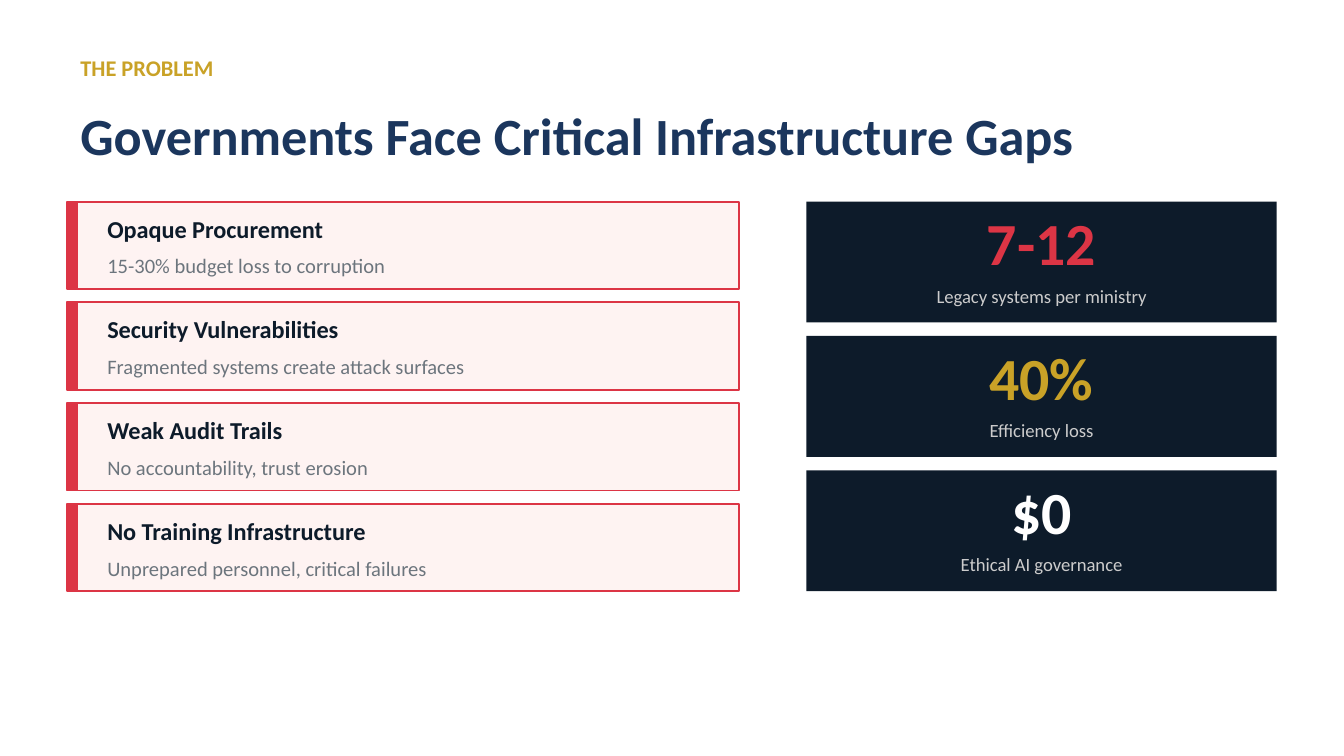
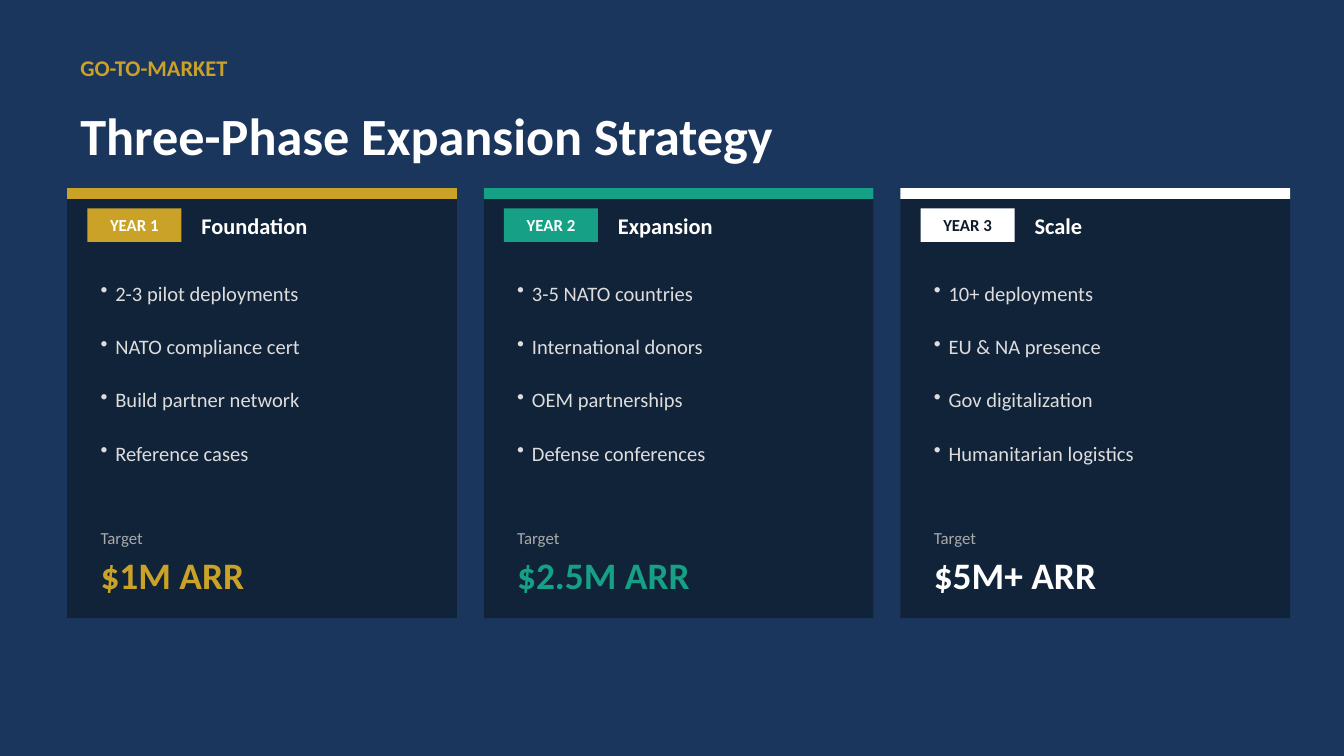
from lxml import etree
from pptx import Presentation
from pptx.dml.color import RGBColor
from pptx.enum.shapes import MSO_SHAPE
from pptx.enum.text import MSO_ANCHOR, PP_ALIGN
from pptx.oxml.ns import qn
from pptx.util import Pt

RECT = MSO_SHAPE.RECTANGLE
MIDDLE = MSO_ANCHOR.MIDDLE
LEFT, CENTER = PP_ALIGN.LEFT, PP_ALIGN.CENTER

# Content
PROBLEM = {
    "label": "THE PROBLEM",
    "title": "Governments Face Critical Infrastructure Gaps",
    "gaps": [
        ("Opaque Procurement", "15-30% budget loss to corruption"),
        ("Security Vulnerabilities", "Fragmented systems create attack surfaces"),
        ("Weak Audit Trails", "No accountability, trust erosion"),
        ("No Training Infrastructure", "Unprepared personnel, critical failures"),
    ],
    "stats": [
        ("7-12", "Legacy systems per ministry", "red"),
        ("40%", "Efficiency loss", "gold"),
        ("$0", "Ethical AI governance", "white"),
    ],
}
MARKET = {
    "label": "GO-TO-MARKET",
    "title": "Three-Phase Expansion Strategy",
    "phases": [
        {"year": "YEAR 1", "name": "Foundation", "target": "$1M ARR",
         "accent": "gold", "year_color": "white",
         "steps": ["2-3 pilot deployments", "NATO compliance cert",
                   "Build partner network", "Reference cases"]},
        {"year": "YEAR 2", "name": "Expansion", "target": "$2.5M ARR",
         "accent": "green", "year_color": "white",
         "steps": ["3-5 NATO countries", "International donors",
                   "OEM partnerships", "Defense conferences"]},
        {"year": "YEAR 3", "name": "Scale", "target": "$5M+ ARR",
         "accent": "white", "year_color": "ink",
         "steps": ["10+ deployments", "EU & NA presence",
                   "Gov digitalization", "Humanitarian logistics"]},
    ],
}

# Theme: colours, and type styles as (size, bold, colour)
THEME = {
    "font": "Calibri",
    "colors": {
        "white": "FFFFFF", "navy": "1B365D", "ink": "0D1B2A", "gold": "C9A227",
        "red": "DC3545", "blush": "FEF3F2", "green": "16A085", "slate": "6C757D",
        "silver": "CCCCCC", "pale": "DDDDDD", "muted": "AAAAAA",
    },
    "type": {
        "label": (12, True, "gold"),
        "title": (28, True, "navy"),
        "gap": (13, True, "ink"),
        "effect": (11, False, "slate"),
        "figure": (32, True, "white"),
        "caption": (10, False, "silver"),
        "year": (9, True, "white"),
        "phase": (12, True, "white"),
        "step": (11, False, "pale"),
        "target_label": (9, False, "muted"),
        "target": (20, True, "white"),
    },
}

# 200 px to the inch
PX = 4572
SLIDE_W, SLIDE_H = 2000, 1125
MARGIN = 100
BAND = 16
BULLET_INDENT = 22
STEP_GAP = 15.4


def color(name):
    return RGBColor.from_string(THEME["colors"][name])


def emu(*lengths):
    return [length * PX for length in lengths]


def add_block(slide, box, fill, line=None, alpha=None):
    block = slide.shapes.add_shape(RECT, *emu(*box))
    block.shadow.inherit = False
    block.fill.solid()
    block.fill.fore_color.rgb = color(fill)
    if alpha:
        tone = block.fill._xPr.find(qn("a:solidFill"))[0]
        etree.SubElement(tone, qn("a:alpha"), val=str(alpha * 1000))
    if line:
        block.line.color.rgb = color(line)
        block.line.width = Pt(1)
    else:
        block.line.fill.background()
    return block


def add_bullet(paragraph):
    props = paragraph._p.get_or_add_pPr()
    props.set("marL", str(BULLET_INDENT * PX))
    props.set("indent", str(-BULLET_INDENT * PX))
    etree.SubElement(props, qn("a:buChar"), char="•")


def write(holder, lines, style, tint=None, align=LEFT, bullets=False):
    frame = holder.text_frame
    frame.word_wrap = True
    frame.vertical_anchor = MIDDLE
    size, bold, default_tint = THEME["type"][style]
    font_format = {"name": THEME["font"], "size": Pt(size), "bold": bold}
    for i, line in enumerate(lines):
        paragraph = frame.add_paragraph() if i else frame.paragraphs[0]
        paragraph.alignment = align
        if i:
            paragraph.space_before = Pt(STEP_GAP)
        if bullets:
            add_bullet(paragraph)
        run = paragraph.add_run()
        run.text = line
        for key, value in font_format.items():
            setattr(run.font, key, value)
        run.font.color.rgb = color(tint or default_tint)


def add_text(slide, box, lines, style, **options):
    write(slide.shapes.add_textbox(*emu(*box)), lines, style, **options)


def start_slide(deck, content, background, title_tint):
    slide = deck.slides.add_slide(deck.slide_layouts[6])
    slide.background.fill.solid()
    slide.background.fill.fore_color.rgb = color(background)
    add_text(slide, (MARGIN, 60, 600, 80), [content["label"]], "label")
    add_text(slide, (MARGIN, 140, 1800, 120), [content["title"]], "title",
             tint=title_tint)
    return slide


def build_problem(deck):
    slide = start_slide(deck, PROBLEM, "white", "navy")
    top = 300

    # Gap cards on the left
    height, gutter = 130, 20
    for i, (gap, effect) in enumerate(PROBLEM["gaps"]):
        y = top + i * (height + gutter)
        add_block(slide, (MARGIN, y, 1000, height), "blush", line="red")
        add_block(slide, (MARGIN, y, BAND, height), "red")
        add_text(slide, (MARGIN + 40, y + 10, 900, 60), [gap], "gap")
        add_text(slide, (MARGIN + 40, y + 70, 900, 50), [effect], "effect")

    # Key figures on the right
    x, width, height = 1200, 700, 180
    for i, (figure, caption, tint) in enumerate(PROBLEM["stats"]):
        y = top + i * (height + gutter)
        add_block(slide, (x, y, width, height), "ink")
        add_text(slide, (x, y + 10, width, 100), [figure], "figure",
                 tint=tint, align=CENTER)
        add_text(slide, (x, y + 110, width, 60), [caption], "caption",
                 align=CENTER)


def build_market(deck):
    slide = start_slide(deck, MARKET, "navy", "white")
    top, width, height, gutter = 280, 580, 640, 40
    inner_w = width - 60

    for i, phase in enumerate(MARKET["phases"]):
        x = MARGIN + i * (width + gutter)
        inner_x = x + 30
        accent = phase["accent"]

        # Card, band and year badge
        add_block(slide, (x, top, width, height), "ink", alpha=70)
        add_block(slide, (x, top, width, BAND), accent)
        badge = add_block(slide, (inner_x, top + 30, 140, 50), accent)
        write(badge, [phase["year"]], "year", tint=phase["year_color"],
              align=CENTER)
        add_text(slide, (x + 180, top + 30, 300, 50), [phase["name"]], "phase")

        # Steps and revenue target
        add_text(slide, (inner_x, top + 120, inner_w, 310), phase["steps"],
                 "step", bullets=True)
        add_text(slide, (inner_x, top + 500, 200, 40), ["Target"],
                 "target_label")
        add_text(slide, (inner_x, top + 540, inner_w, 70), [phase["target"]],
                 "target", tint=accent)


def main():
    deck = Presentation()
    deck.slide_width, deck.slide_height = emu(SLIDE_W, SLIDE_H)
    build_problem(deck)
    build_market(deck)
    deck.save("out.pptx")


if __name__ == "__main__":
    main()
